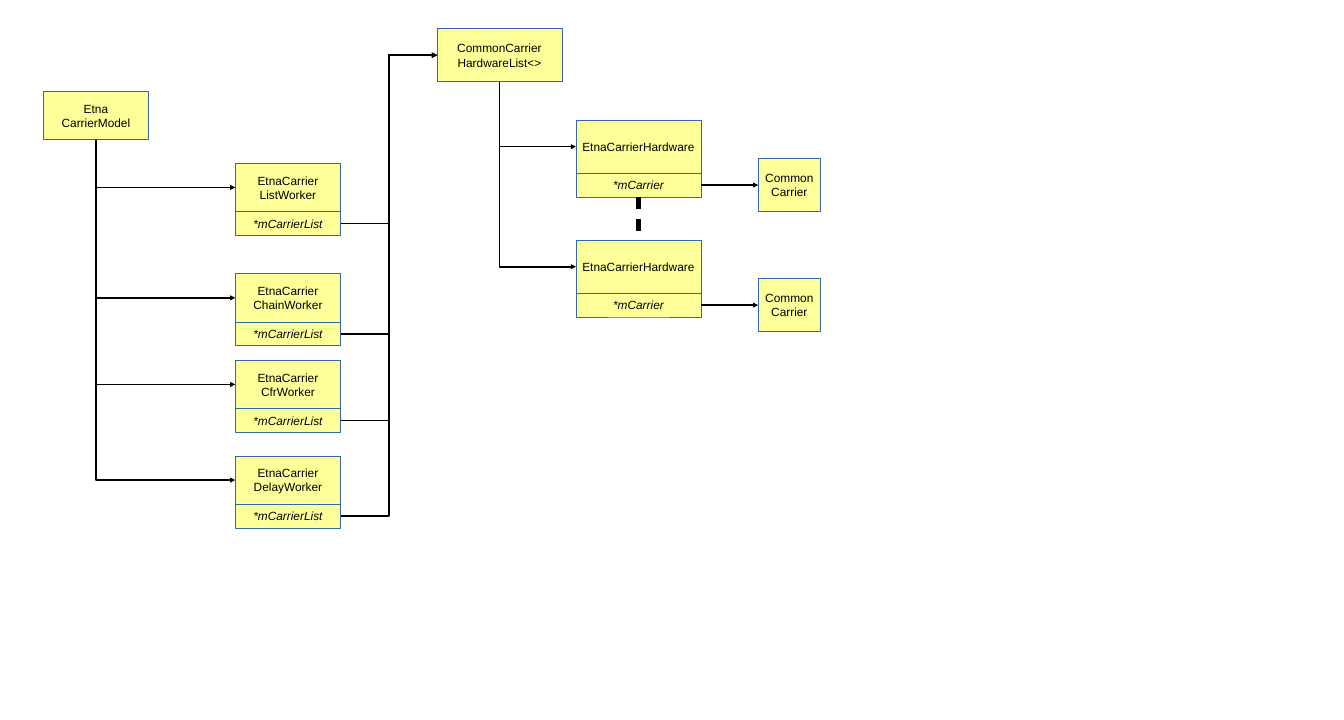
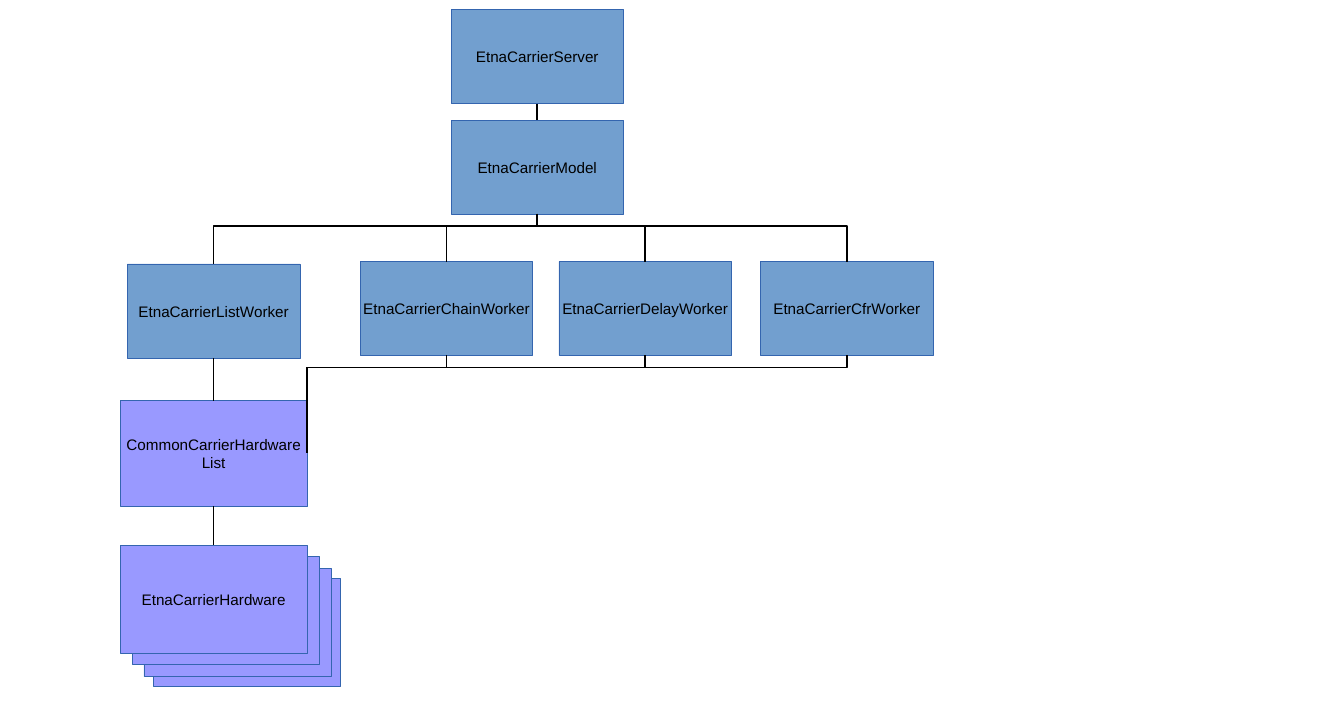
"""Two class diagrams of the carrier server: object references and the hierarchy."""
from lxml import etree
from pptx import Presentation, util as u
from pptx.dml.color import RGBColor
from pptx.enum import shapes, text
from pptx.oxml.ns import qn

COLORS = {"yellow": "FFFF99", "blue": "729FCF", "violet": "9999FF",
          "edge": "3465AF", "ink": "000000"}
FONT = "Arial"

WORKER_X, WORKER_SIZE = 3.86, (1.73, 0.79)
WORKERS = [("ListWorker", 2.68), ("ChainWorker", 4.49),
           ("CfrWorker", 5.91), ("DelayWorker", 7.48)]
HARDWARE_X, HARDWARE_SIZE = 9.45, (2.05, 0.87)
HARDWARE_TOPS = [1.97, 3.94]
CARRIER_X, CARRIER_SIZE, CARRIER_DROP = 12.44, (1.02, 0.87), 0.63
FIELD_H = 0.39

NODE_SIZE = (2.83, 1.54)
CHAIN = [("EtnaCarrierServer", 7.4, 0.16), ("EtnaCarrierModel", 7.4, 1.97)]
TREE_WORKERS = [("EtnaCarrierListWorker", 2.09, 4.33), ("EtnaCarrierChainWorker", 5.91, 4.29),
                ("EtnaCarrierDelayWorker", 9.17, 4.29), ("EtnaCarrierCfrWorker", 12.48, 4.29)]
LIST_BOX = (1.97, 6.57, 3.07, 1.73)
STACK_SIZE = (3.07, 1.77)
STACK = [(2.52, 9.49), (2.36, 9.33), (2.17, 9.13), (1.97, 8.94)]
BUS_GAP = 0.2


def rgb(name):
    return RGBColor.from_string(COLORS[name])


def add_box(slide, label, at, fill, size, italic=False):
    """Draw a labelled rectangle and return its (left, top, width, height)."""
    sp = slide.shapes.add_shape(shapes.MSO_SHAPE.RECTANGLE, *map(u.Inches, at))
    sp.shadow.inherit = False
    sp.fill.solid()
    sp.fill.fore_color.rgb = rgb(fill)
    sp.line.color.rgb = rgb("edge")
    sp.line.width = 0
    tf = sp.text_frame
    tf.word_wrap = False
    tf.vertical_anchor = text.MSO_ANCHOR.MIDDLE
    tf.text = label
    for p in tf.paragraphs:
        p.alignment = text.PP_ALIGN.CENTER
        p.font.name, p.font.size = FONT, u.Pt(size)
        p.font.italic = italic
        p.font.color.rgb = rgb("ink")
    return at


def left(box):
    return box[0], box[1] + box[3] / 2


def right(box):
    return box[0] + box[2], box[1] + box[3] / 2


def top(box):
    return box[0] + box[2] / 2, box[1]


def bottom(box):
    return box[0] + box[2] / 2, box[1] + box[3]


def add_line(slide, start, end, arrow=False, elbow=False, width=0):
    """Draw a straight line, or an elbow that leaves sideways."""
    kind = shapes.MSO_CONNECTOR.ELBOW if elbow else shapes.MSO_CONNECTOR.STRAIGHT
    c = slide.shapes.add_connector(kind, *map(u.Inches, start + end))
    c.line.color.rgb = rgb("ink")
    c.line.width = u.Pt(width)
    if arrow:
        etree.SubElement(c.line._get_or_add_ln(), qn("a:tailEnd"), type="triangle")
    etree.SubElement(c._element.spPr, qn("a:effectLst"))
    return c


def add_drop(slide, start, end, bus=None, arrow=False):
    """Draw an elbow that leaves downwards, with one bend or a level run at bus."""
    dx, dy = end[0] - start[0], end[1] - start[1]
    c = add_line(slide, start, end, arrow, elbow=True)
    c.left = u.Inches((start[0] + end[0] - dy) / 2)
    c.top = u.Inches((start[1] + end[1] - abs(dx)) / 2)
    c.width, c.height = u.Inches(dy), u.Inches(abs(dx))
    xfrm = c._element.spPr.find(qn("a:xfrm"))
    xfrm.set("rot", "16200000" if dx > 0 else "5400000")
    xfrm.set("flipH", "1" if dx > 0 else "0")
    geom = c._element.spPr.find(qn("a:prstGeom"))
    if bus is None:
        geom.set("prst", "bentConnector2")
    else:
        share = round((bus - start[1]) / dy * 100000)
        etree.SubElement(geom.find(qn("a:avLst")), qn("a:gd"), name="adj1", fmla=f"val {share}")


def build_references(slide):
    """Show which object points to which."""
    def box(label, x, y, size, italic=False):
        return add_box(slide, label, (x, y, *size), "yellow", 14, italic)

    def field(label, owner):
        x, y, w, h = owner
        return box(label, x, y + h, (w, FIELD_H), True)

    model = box("Etna\nCarrierModel", 0.71, 1.5, WORKER_SIZE)
    hub = box("CommonCarrier\nHardwareList<>", 7.17, 0.47, HARDWARE_SIZE)
    for name, y in WORKERS:
        worker = box(f"EtnaCarrier\n{name}", WORKER_X, y, WORKER_SIZE)
        member = field("*mCarrierList", worker)
        add_drop(slide, bottom(model), left(worker), arrow=True)
        add_line(slide, right(member), left(hub), arrow=True, elbow=True)

    members = []
    for y in HARDWARE_TOPS:
        hardware = box("EtnaCarrierHardware", HARDWARE_X, y, HARDWARE_SIZE)
        member = field("*mCarrier", hardware)
        carrier = box("Common\nCarrier", CARRIER_X, y + CARRIER_DROP, CARRIER_SIZE)
        add_drop(slide, bottom(hub), left(hardware), arrow=True)
        add_line(slide, right(member), left(carrier), arrow=True)
        members.append(member)

    x, y = bottom(members[0])
    more = add_line(slide, (x, y), (x, HARDWARE_TOPS[1]), width=5.67)
    dash = etree.SubElement(more.line._get_or_add_ln(), qn("a:custDash"))
    etree.SubElement(dash, qn("a:ds"), d="254000", sp="210000")


def build_hierarchy(slide):
    """Show the server, its workers and the hardware list they share."""
    def node(label, x, y):
        return add_box(slide, label, (x, y, *NODE_SIZE), "blue", 18)

    server, model = [node(*item) for item in CHAIN]
    workers = [node(*item) for item in TREE_WORKERS]
    hub = add_box(slide, "CommonCarrierHardware\nList", LIST_BOX, "violet", 18)
    for at in STACK:
        front = add_box(slide, "EtnaCarrierHardware", (*at, *STACK_SIZE), "violet", 18)

    for upper, lower in ((server, model), (workers[0], hub), (hub, front)):
        add_line(slide, bottom(upper), top(lower))
    for worker in workers:
        add_drop(slide, bottom(model), top(worker), bottom(model)[1] + BUS_GAP)
    for worker in workers[1:]:
        add_drop(slide, bottom(worker), right(hub), bottom(worker)[1] + BUS_GAP)


def main():
    prs = Presentation()
    prs.slide_width, prs.slide_height = u.Inches(22.05), u.Inches(11.81)
    for build in (build_references, build_hierarchy):
        build(prs.slides.add_slide(prs.slide_layouts[6]))
    prs.save("out.pptx")


if __name__ == "__main__":
    main()
